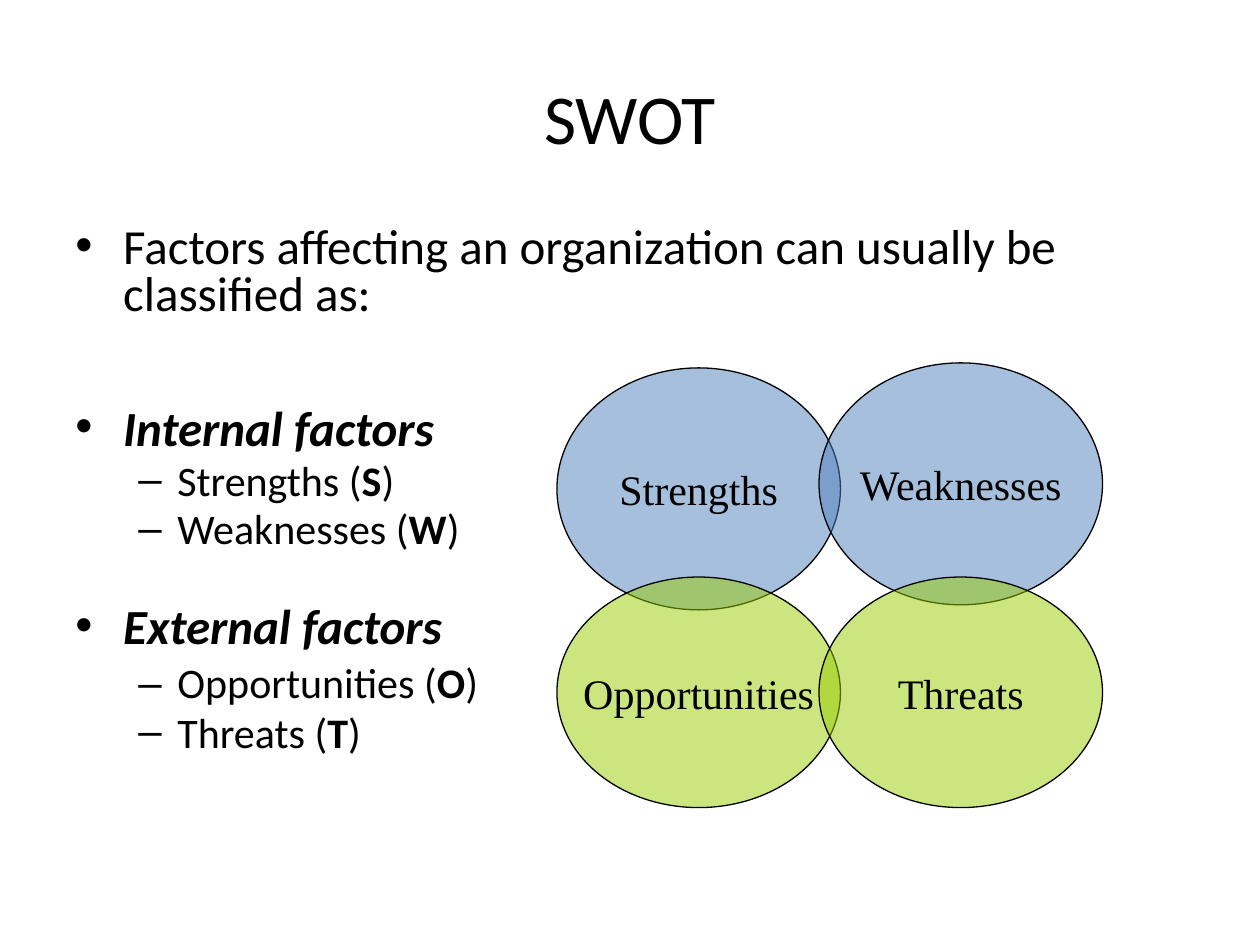
"""Build the SWOT slide with a factor list and four overlapping ellipses."""
from dataclasses import dataclass

from lxml import etree
from pptx import Presentation
from pptx.dml.color import RGBColor
from pptx.enum.shapes import MSO_SHAPE
from pptx.enum.text import MSO_ANCHOR, PP_ALIGN
from pptx.oxml.ns import qn
from pptx.util import Inches, Pt

ELLIPSE = MSO_SHAPE.OVAL
MIDDLE = MSO_ANCHOR.MIDDLE
CENTER = PP_ALIGN.CENTER


@dataclass(frozen=True)
class Theme:
    """Hold the colours, fonts and type sizes of the slide."""
    ink: RGBColor = RGBColor(0x00, 0x00, 0x00)
    internal: RGBColor = RGBColor(0x4F, 0x81, 0xBD)
    external: RGBColor = RGBColor(0x99, 0xCC, 0x00)
    body_font: str = "Calibri"
    label_font: str = "Times New Roman"
    title_size: int = 40
    point_size: int = 28
    detail_size: int = 24
    opacity: int = 50


THEME = Theme()


def style_span(span, size, font=THEME.body_font, bold=False, italic=False):
    """Set the type of one run."""
    span.font.size = Pt(size)
    span.font.name = font
    span.font.bold = bold
    span.font.italic = italic
    span.font.color.rgb = THEME.ink


def add_text_box(page, left, top, width, height):
    """Add a wrapping text box and return its text frame."""
    frame = page.shapes.add_textbox(
        Inches(left), Inches(top), Inches(width), Inches(height)).text_frame
    frame.word_wrap = True
    return frame


def add_title(page, text):
    """Add the centred slide title."""
    frame = add_text_box(page, 0.5, 0.3, 9, 1.25)
    frame.vertical_anchor = MIDDLE
    frame.text = text
    para = frame.paragraphs[0]
    para.alignment = CENTER
    style_span(para.runs[0], THEME.title_size)


def set_bullet(para, symbol, margin, hanging):
    """Give a paragraph a bullet with a hanging indent."""
    properties = para._p.get_or_add_pPr()
    properties.set("marL", str(Inches(margin)))
    properties.set("indent", str(-Inches(hanging)))
    etree.SubElement(properties, qn("a:buFont")).set("typeface", "Arial")
    etree.SubElement(properties, qn("a:buChar")).set("char", symbol)


def next_para(frame, text, before, spacing):
    """Return a new paragraph, reusing the empty first one."""
    para = frame.paragraphs[0] if not frame.text else frame.add_paragraph()
    para.text = text
    para.line_spacing = spacing
    para.space_before = Pt(before)
    return para


def add_point(frame, text, before, strong=True):
    """Add a first-level point."""
    para = next_para(frame, text, before, 0.8)
    set_bullet(para, "•", 0.38, 0.38)
    style_span(para.runs[0], THEME.point_size, bold=strong, italic=strong)


def add_factor(frame, name, spacing=0.8):
    """Add a second-level factor with its bold initial in brackets."""
    para = next_para(frame, f"{name} (", 4.8, spacing)
    set_bullet(para, "–", 0.81, 0.31)
    for text in (name[0], ")"):
        para.add_run().text = text
    for index, span in enumerate(para.runs):
        style_span(span, THEME.detail_size, bold=index == 1)


def add_factor_list(page):
    """Add the bulleted list of internal and external factors."""
    frame = add_text_box(page, 0.5, 1.75, 9, 4.95)
    add_point(frame, "Factors affecting an organization can usually be classified as:",
              5.6, strong=False)
    add_point(frame, "Internal factors", 50)
    add_factor(frame, "Strengths")
    add_factor(frame, "Weaknesses")
    add_point(frame, "External factors", 31)
    add_factor(frame, "Opportunities", 0.9)
    add_factor(frame, "Threats")


def add_ellipse(page, label, left, top, height, color):
    """Add a translucent labelled ellipse."""
    shape = page.shapes.add_shape(
        ELLIPSE, Inches(left), Inches(top), Inches(2.25), Inches(height))
    shape.shadow.inherit = False
    shape.fill.solid()
    shape.fill.fore_color.rgb = color
    tint = shape.fill._xPr.find(qn("a:solidFill"))[0]
    etree.SubElement(tint, qn("a:alpha")).set("val", str(THEME.opacity * 1000))
    shape.line.color.rgb = THEME.ink
    shape.line.width = Pt(0.75)
    frame = shape.text_frame
    frame.word_wrap = False
    frame.vertical_anchor = MIDDLE
    frame.text = label
    para = frame.paragraphs[0]
    para.alignment = CENTER
    style_span(para.runs[0], THEME.detail_size, THEME.label_font)


def main():
    """Build and save the deck."""
    deck = Presentation()
    deck.slide_width, deck.slide_height = Inches(10), Inches(7.5)
    page = deck.slides.add_slide(deck.slide_layouts[6])
    add_title(page, "SWOT")
    add_factor_list(page)
    columns = (
        (4.42, 2.92, "Strengths", "Opportunities"),
        (6.5, 2.88, "Weaknesses", "Threats"),
    )
    for left, top, internal, external in columns:
        add_ellipse(page, internal, left, top, 1.92, THEME.internal)
        add_ellipse(page, external, left, 4.58, 1.83, THEME.external)
    deck.save("out.pptx")


if __name__ == "__main__":
    main()
